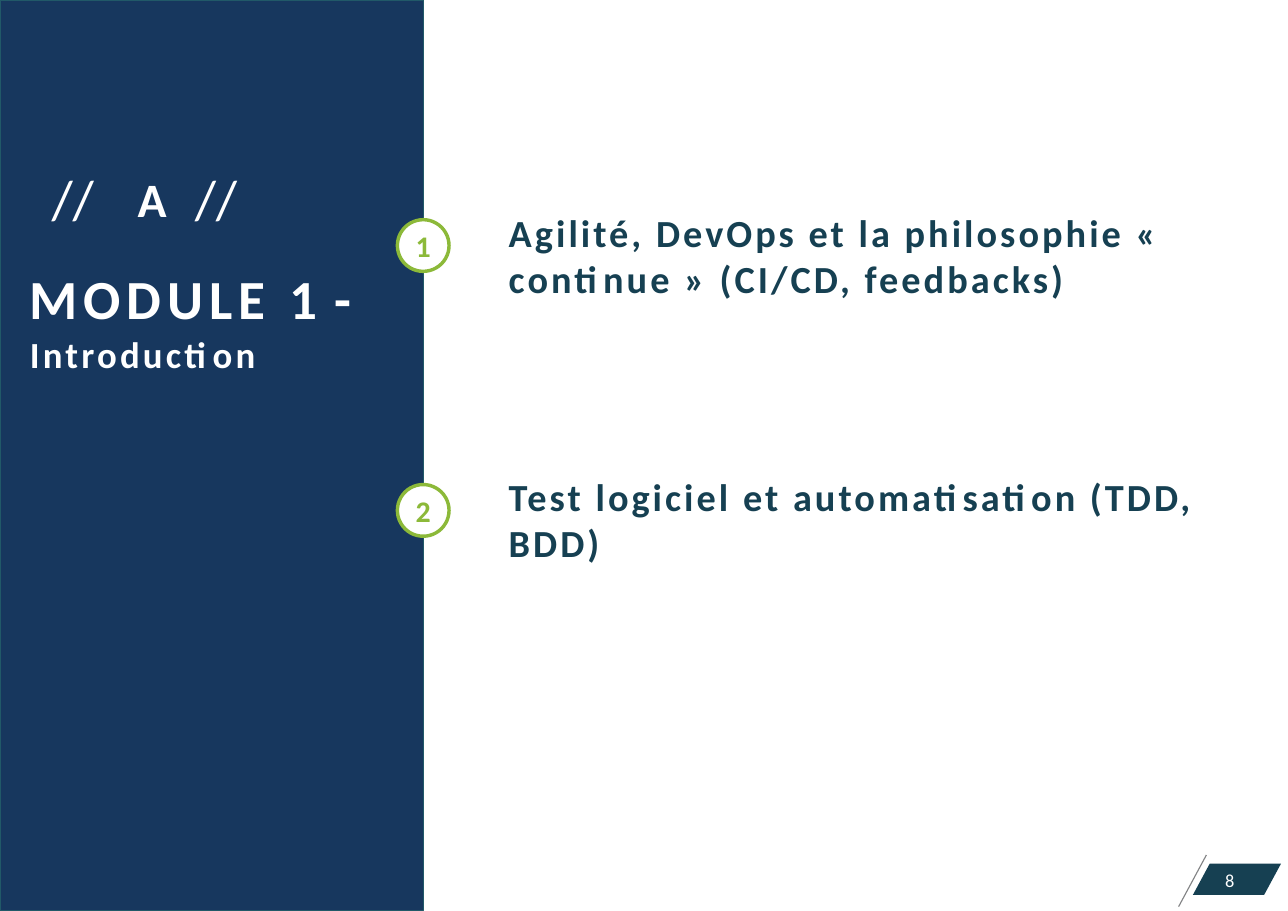
from lxml import etree
from pptx import Presentation
from pptx import util as u
from pptx.dml.color import RGBColor
from pptx.enum import shapes, text
from pptx.oxml.ns import qn

NAVY = RGBColor(0x17, 0x37, 0x5E)
TEAL_EDGE = RGBColor(0x21, 0x59, 0x68)
TEAL = RGBColor(0x16, 0x40, 0x52)
GREEN = RGBColor(0x8C, 0xB9, 0x39)
GREY = RGBColor(0x82, 0x83, 0x85)
WHITE = RGBColor(0xFF, 0xFF, 0xFF)

WIDTH, HEIGHT = 29.67, 20.98
PANEL_WIDTH = 9.75
BADGE_SIZE = 1.19
TOPIC_TOP, TOPIC_STEP = 4.78, 6.1
TOPICS = [
    "Agilité, DevOps et la philosophie « continue » (CI/CD, feedbacks)",
    "Test logiciel et automatisation (TDD, BDD)",
]


class ModuleSlide:
    font = "Calibri"

    def __init__(self, deck):
        self.slide = deck.slides.add_slide(deck.slide_layouts[6])

    def shape(self, kind, left, top, width, height, fill, line=None, weight=0.75):
        item = self.slide.shapes.add_shape(
            kind, u.Cm(left), u.Cm(top), u.Cm(width), u.Cm(height))
        item.shadow.inherit = False
        item.fill.solid()
        item.fill.fore_color.rgb = fill
        if line is None:
            item.line.fill.background()
        else:
            item.line.color.rgb = line
            item.line.width = u.Pt(weight)
        return item

    def line(self, x1, y1, x2, y2, color, weight):
        rule = self.slide.shapes.add_connector(
            shapes.MSO_CONNECTOR.STRAIGHT, u.Cm(x1), u.Cm(y1), u.Cm(x2), u.Cm(y2))
        rule.line.color.rgb = color
        rule.line.width = u.Pt(weight)
        etree.SubElement(rule._element.spPr, qn("a:effectLst"))

    def frame(self, left, top, width, height, inset_left=0, inset_top=0):
        box = self.slide.shapes.add_textbox(
            u.Cm(left), u.Cm(top), u.Cm(width), u.Cm(height)).text_frame
        box.word_wrap = True
        box.margin_left, box.margin_top = u.Cm(inset_left), u.Cm(inset_top)
        box.margin_right = box.margin_bottom = 0
        return box

    def style(self, paragraph, size, color, bold=False, before=0, indent=0.03):
        paragraph.font.name = self.font
        paragraph.font.size = u.Pt(size)
        paragraph.font.color.rgb = color
        paragraph.font.bold = bold
        paragraph.space_before = u.Pt(before)
        paragraph._p.get_or_add_pPr().set("marL", str(u.Cm(indent)))

    def run(self, paragraph, words, spacing):
        """Add a run with letter spacing in points."""
        piece = paragraph.add_run()
        piece.text = words
        piece._r.get_or_add_rPr().set("spc", str(round(spacing * 100)))
        return piece

    def tabs(self, paragraph, stops):
        tab_list = etree.SubElement(paragraph._p.get_or_add_pPr(), qn("a:tabLst"))
        for stop in stops:
            etree.SubElement(tab_list, qn("a:tab"), pos=str(u.Cm(stop)), algn="l")

    def title(self):
        box = self.frame(0.66, 2.46, 8.08, 8.08, inset_top=0.69)
        letter_line = box.paragraphs[0]
        self.style(letter_line, 36, WHITE, before=19.7, indent=0.53)
        self.tabs(letter_line, (1.98, 3.3))
        self.run(letter_line, "//\t", -0.2)
        letter = self.run(letter_line, "A\t", 3.1)
        letter.font.size = u.Pt(54)
        letter.font.bold = True
        letter._r.get_or_add_rPr().set("baseline", "2000")
        self.run(letter_line, "//", -0.2)

        module_line = box.add_paragraph()
        self.style(module_line, 36, WHITE, bold=True, before=18.8)
        for words, spacing in (("MODULE ", 3.8), ("1 ", 1.6), ("-", 3.1)):
            self.run(module_line, words, spacing)

        subtitle = box.add_paragraph()
        self.style(subtitle, 24, WHITE, bold=True)
        subtitle.line_spacing = 1.01
        self.run(subtitle, "Introduction", 2.1)

    def topic(self, number, heading, top):
        badge = self.shape(shapes.MSO_SHAPE.OVAL, PANEL_WIDTH - BADGE_SIZE / 2, top + 0.28,
                           BADGE_SIZE, BADGE_SIZE, WHITE, GREEN, 2.25).text_frame
        badge.word_wrap = False
        badge.margin_left = badge.margin_right = 0
        badge.margin_top = badge.margin_bottom = 0
        badge.vertical_anchor = text.MSO_ANCHOR.MIDDLE
        digit = badge.paragraphs[0]
        self.style(digit, 19.5, GREEN, bold=True, indent=0)
        digit.alignment = text.PP_ALIGN.CENTER
        self.run(digit, str(number), 0.6)

        label = self.frame(11.69, top, 16.89, 2.18, inset_top=0.03).paragraphs[0]
        self.style(label, 25, TEAL, bold=True, before=1)
        self.run(label, heading, 2)

    def page_number(self, number):
        self.line(27.79, 19.69, 27.15, 20.88, GREY, 0.75)
        plate = self.shape(shapes.MSO_SHAPE.PARALLELOGRAM, 27.48, 19.89, 2.03, 0.72, TEAL)
        plate.adjustments[0] = 0.54
        label = self.frame(27.74, 19.89, 1.5, 0.76, 0.25, 0.13).paragraphs[0]
        self.style(label, 12, WHITE, before=0.7, indent=0.23)
        self.run(label, str(number), -0.2)


def main():
    deck = Presentation()
    deck.slide_width, deck.slide_height = u.Cm(WIDTH), u.Cm(HEIGHT)
    page = ModuleSlide(deck)
    page.shape(shapes.MSO_SHAPE.RECTANGLE, 0, 0, PANEL_WIDTH, HEIGHT, NAVY, TEAL_EDGE)
    page.title()
    for index, heading in enumerate(TOPICS):
        page.topic(index + 1, heading, TOPIC_TOP + index * TOPIC_STEP)
    page.page_number(8)
    deck.save("out.pptx")


if __name__ == "__main__":
    main()
